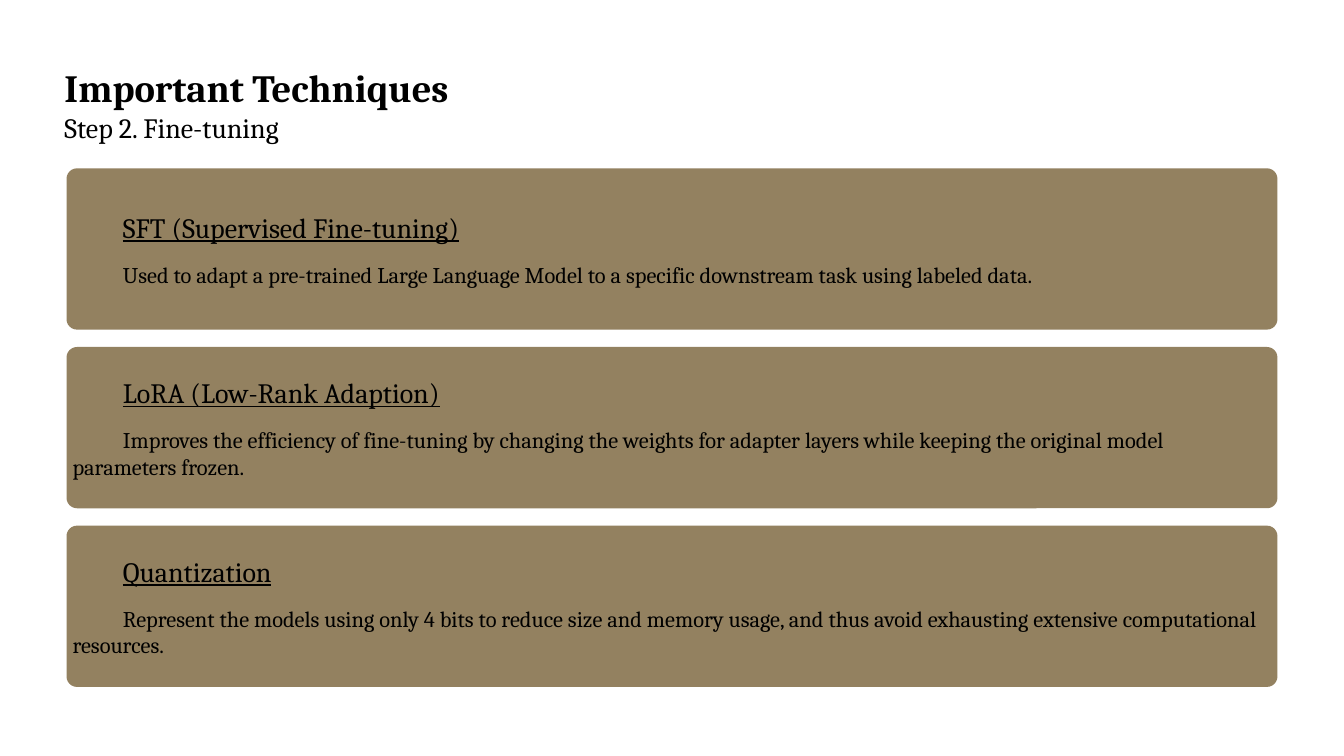
from pptx import Presentation
from pptx.dml.color import RGBColor
from pptx.enum.shapes import MSO_SHAPE as Shape
from pptx.enum.text import MSO_ANCHOR as Anchor, PP_ALIGN as Align
from pptx.util import Inches, Pt

BLACK = RGBColor(0x00, 0x00, 0x00)
WHITE = RGBColor(0xFF, 0xFF, 0xFF)
TAN = RGBColor(0x93, 0x81, 0x60)
FONT = "Cambria"

TECHNIQUES = [
    ("SFT (Supervised Fine-tuning)",
     "Used to adapt a pre-trained Large Language Model to a specific "
     "downstream task using labeled data."),
    ("LoRA (Low-Rank Adaption)",
     "Improves the efficiency of fine-tuning by changing the weights for "
     "adapter layers while keeping the original model parameters frozen."),
    ("Quantization",
     "Represent the models using only 4 bits to reduce size and memory usage, "
     "and thus avoid exhausting extensive computational resources."),
]


def prepare_frame(frame, inset, anchor):
    """Set the wrapping, margins and vertical anchor of a text frame."""
    frame.word_wrap = True
    frame.vertical_anchor = anchor
    frame.margin_left = frame.margin_right = Inches(inset)
    frame.margin_top = frame.margin_bottom = Inches(inset)


def write_line(paragraph, text, size, bold=False, underline=False, indent=0, before=0):
    """Fill a paragraph with one formatted run."""
    paragraph.alignment = Align.LEFT
    paragraph.space_before = Pt(before)
    if indent:
        properties = paragraph._p.get_or_add_pPr()
        properties.set("marL", "0")
        properties.set("indent", str(Inches(indent)))
    run = paragraph.add_run()
    run.text = text
    font = run.font
    font.name, font.size, font.bold, font.underline = FONT, Pt(size), bold, underline
    font.color.rgb = BLACK


def add_heading(slide, title, step):
    """Add the slide title with the step below it."""
    heading = slide.shapes.add_textbox(Inches(1.23), Inches(1.23), Inches(12.83), Inches(2.14))
    frame = heading.text_frame
    prepare_frame(frame, 0.05, Anchor.TOP)
    write_line(frame.paragraphs[0], title, 55, bold=True)
    write_line(frame.add_paragraph(), step, 40)


def add_card(slide, top, name, description):
    """Add a rounded card that names and describes a technique."""
    card = slide.shapes.add_shape(
        Shape.ROUNDED_RECTANGLE, Inches(1.32), Inches(top), Inches(24.03), Inches(3.2))
    card.adjustments[0] = 0.065
    card.shadow.inherit = False
    card.fill.solid()
    card.fill.fore_color.rgb = TAN
    card.line.fill.background()
    frame = card.text_frame
    prepare_frame(frame, 0.06, Anchor.MIDDLE)
    write_line(frame.paragraphs[0], name, 40, underline=True, indent=1)
    write_line(frame.add_paragraph(), description, 32, indent=1, before=24)


def main():
    """Build the slide and save it."""
    deck = Presentation()
    deck.slide_width, deck.slide_height = Inches(26.67), Inches(15)
    slide = deck.slides.add_slide(deck.slide_layouts[6])
    slide.background.fill.solid()
    slide.background.fill.fore_color.rgb = WHITE
    add_heading(slide, "Important Techniques", "Step 2. Fine-tuning")
    for row, (name, description) in enumerate(TECHNIQUES):
        add_card(slide, 3.34 + row * 3.545, name, description)
    deck.save("out.pptx")


if __name__ == "__main__":
    main()
